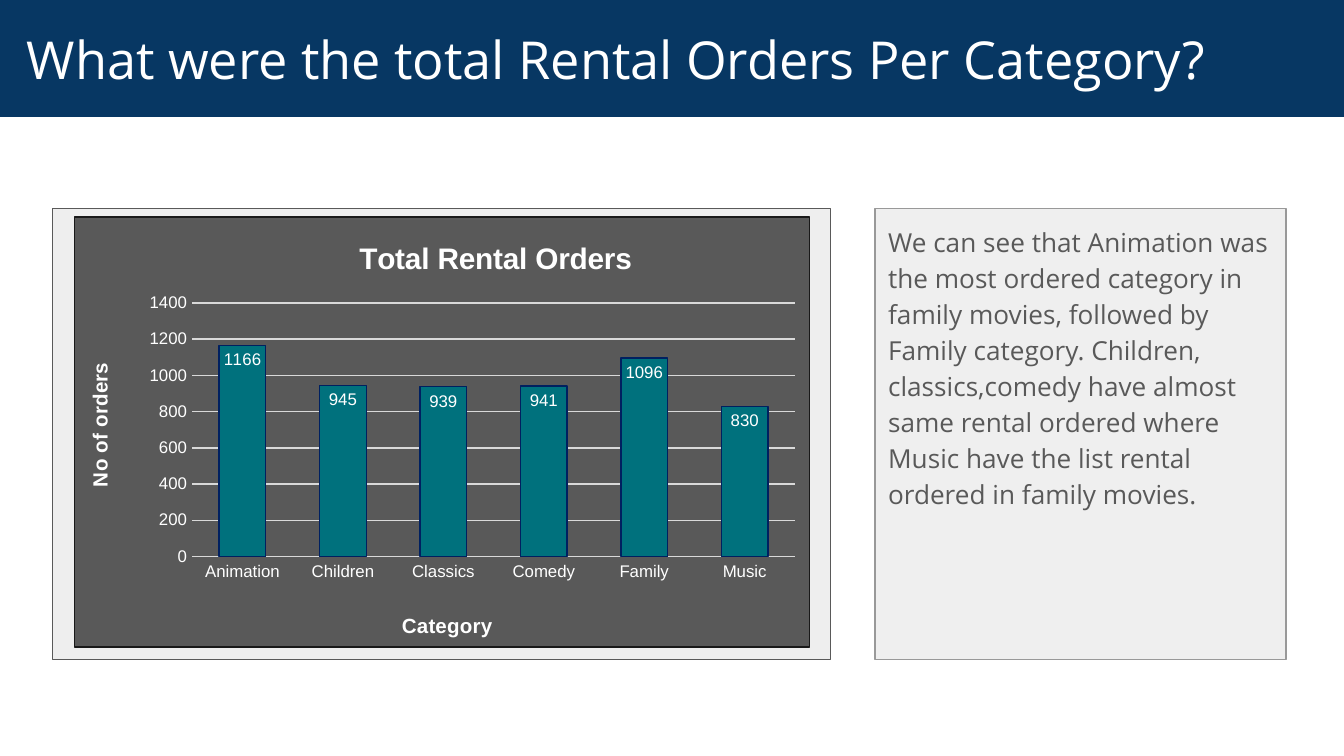
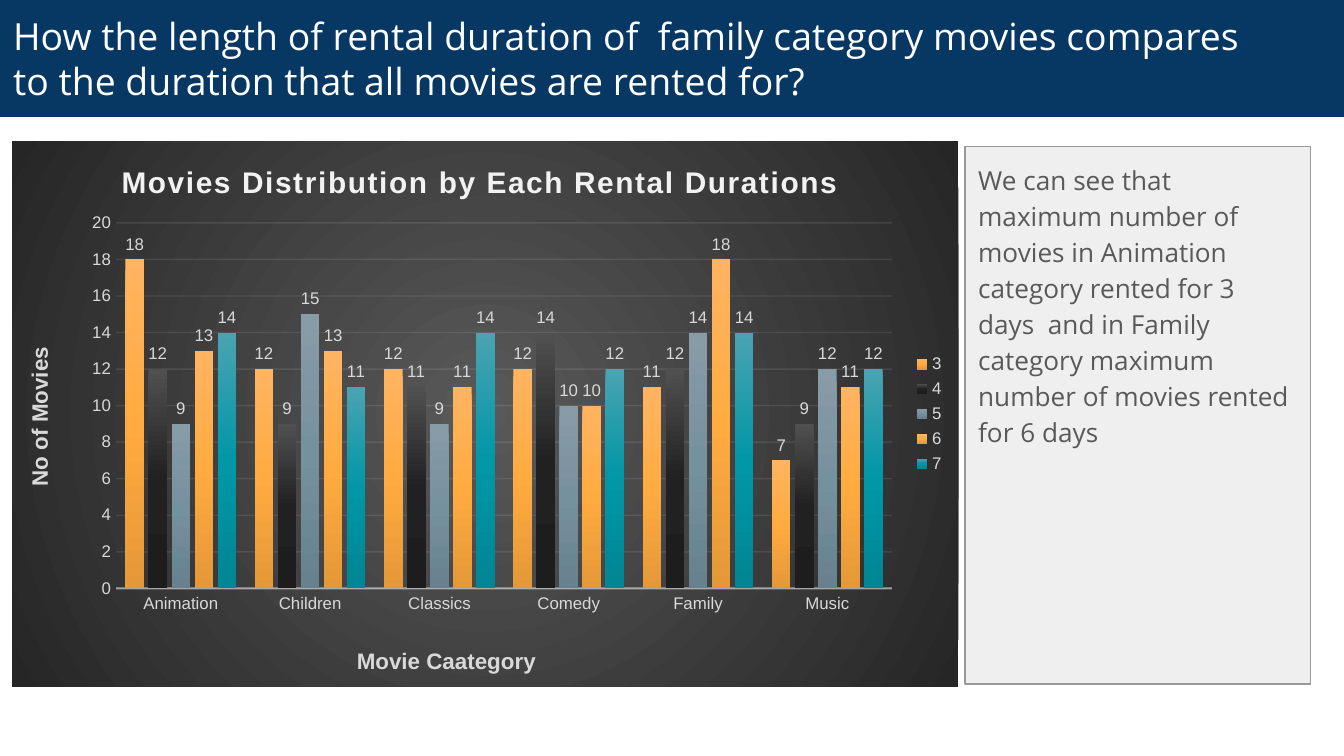
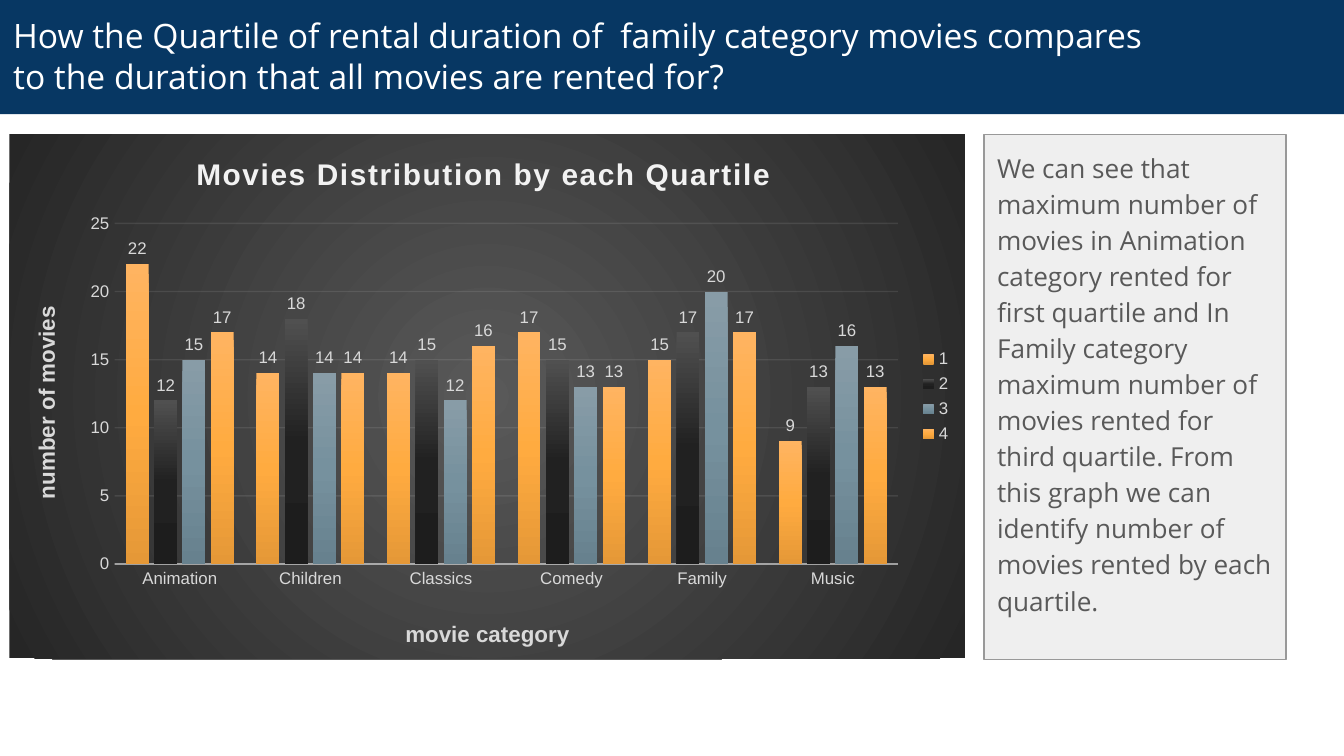
from lxml import etree
from pptx import Presentation
from pptx.chart.data import CategoryChartData
from pptx.dml.color import RGBColor
from pptx.enum.chart import (XL_CHART_TYPE, XL_LABEL_POSITION,
                             XL_LEGEND_POSITION, XL_TICK_MARK)
from pptx.enum.shapes import MSO_SHAPE
from pptx.enum.text import MSO_ANCHOR, PP_ALIGN
from pptx.oxml import parse_xml
from pptx.oxml.ns import nsdecls, qn
from pptx.util import Inches, Pt

RECT = MSO_SHAPE.RECTANGLE
COLUMN = XL_CHART_TYPE.COLUMN_CLUSTERED
INSIDE = XL_LABEL_POSITION.INSIDE_END
OUTSIDE = XL_LABEL_POSITION.OUTSIDE_END
RIGHT = XL_LEGEND_POSITION.RIGHT
NONE = XL_TICK_MARK.NONE
TOP, MIDDLE = MSO_ANCHOR.TOP, MSO_ANCHOR.MIDDLE
LEFT = PP_ALIGN.LEFT

WIDTH = Inches(10)
HEIGHT = WIDTH * 9 // 16

COLORS = {
    "navy": "073763", "white": "FFFFFF", "panel": "EFEFEF", "frame": "EEEEEE",
    "edge": "999999", "gray": "595959", "coal": "262626", "black": "191919",
    "teal": "00717D", "ink": "002060", "pale": "D9D9D9", "mist": "F2F2F2",
}
ORANGE = ("FFB461", "FFAB40", "E59837")
DARK = ("505050", "212121", "1D1D1D")
STEEL = ("889CA7", "76919E", "67818E")
AQUA = ("4BA3B1", "0097A7", "008694")
GENRES = ["Animation", "Children", "Classics", "Comedy", "Family", "Music"]

# Chart looks shared by the slides
PLAIN = {"text": "white", "head": "white", "axis": ("pale", 0.75, 100),
         "grid": ("pale", 0.75, 100), "gap": 115, "spot": INSIDE,
         "title_size": 11, "spacing": 0, "legend": False}
GLOW = {"text": "pale", "head": "mist", "axis": ("mist", 1, 54),
        "grid": ("mist", 0.75, 10), "gap": 100, "spot": OUTSIDE,
        "title_size": 12, "spacing": 100, "legend": True}

SLIDES = [
    {"title": "What were the total Rental Orders Per Category?",
     "size": 28, "indent": 0.2, "top": 0,
     "note": "We can see that Animation was the most ordered category in "
             "family movies, followed by Family category. Children, "
             "classics,comedy have almost same rental ordered where Music "
             "have the list rental ordered in family movies.",
     "note_box": (6.51, 1.55, 3.06, 3.36), "frame": (0.39, 1.55, 5.79, 3.36),
     "chart": {
         "box": (0.55, 1.61, 5.48, 3.21), "look": PLAIN, "scale": (1400, 200),
         "head": ("Total Rental Orders", 0.38, 0.04),
         "cat": ("Category", 0.44, 0.91), "val": ("No of orders", 0.01, 0.33),
         "plot": (0.16, 0.2, 0.82, 0.59),
         "series": {"Series 1": (None, [1166, 945, 939, 941, 1096, 830])}}},
    {"title": "How the length of rental duration of  family category movies "
              "compares\vto the duration that all movies are rented for?",
     "size": 20, "indent": 0.1, "top": 0,
     "note": "We can see that maximum number of movies in Animation category "
             "rented for 3 days  and in Family category maximum number of "
             "movies rented for 6 days",
     "note_box": (7.18, 1.09, 2.57, 4), "frame": None,
     "chart": {
         "box": (0.09, 1.05, 7.04, 4.06), "look": GLOW, "scale": (20, 2),
         "head": ("Movies Distribution by Each Rental Durations", 0.11, 0.03),
         "cat": ("Movie Caategory", 0.36, 0.92),
         "val": ("No of Movies", 0.01, 0.37),
         "plot": (0.11, 0.15, 0.82, 0.67),
         "series": {"3": (ORANGE, [18, 12, 12, 12, 11, 7]),
                    "4": (DARK, [12, 9, 11, 14, 12, 9]),
                    "5": (STEEL, [9, 15, 9, 10, 14, 12]),
                    "6": (ORANGE, [13, 13, 11, 10, 18, 11]),
                    "7": (AQUA, [14, 11, 14, 12, 14, 12])}}},
    {"title": "How the Quartile of rental duration of  family category movies "
              "compares\vto the duration that all movies are rented for?",
     "size": 18, "indent": 0.1, "top": -0.02,
     "note": "We can see that maximum number of movies in Animation category "
             "rented for first quartile and In Family category  maximum "
             "number of movies rented for third quartile. From this graph we "
             "can identify number of movies rented by each quartile.",
     "note_box": (7.32, 1, 2.25, 3.91), "frame": (0.39, 1.55, 4.98, 3.36),
     "chart": {
         "box": (0.07, 1, 7.11, 3.9), "look": GLOW, "scale": (25, 5),
         "head": ("Movies Distribution by each Quartile", 0.19, 0.03),
         "cat": ("movie category", 0.41, 0.92),
         "val": ("number of movies", 0.02, 0.32),
         "plot": (0.11, 0.17, 0.82, 0.65),
         "series": {"1": (ORANGE, [22, 14, 14, 17, 15, 9]),
                    "2": (DARK, [12, 18, 15, 15, 17, 13]),
                    "3": (STEEL, [15, 14, 12, 13, 20, 16]),
                    "4": (ORANGE, [17, 14, 16, 13, 17, 13])}}},
]


def put(target, **values):
    for name, value in values.items():
        setattr(target, name, value)


def rgb(name):
    return RGBColor.from_string(COLORS[name])


def style(font, size, color, bold=False, name="Arial"):
    put(font, size=Pt(size), bold=bold, name=name)
    font.color.rgb = rgb(color)


def stroke(line, color, width):
    line.color.rgb = rgb(color)
    line.width = Pt(width)


def rule(holder, color, width, alpha):
    """Draw an axis or grid line at the given opacity in percent."""
    stroke(holder.format.line, color, width)
    if alpha < 100:
        for tint in holder.format.line._ln.iter(qn("a:srgbClr")):
            etree.SubElement(tint, qn("a:alpha"), val=str(alpha * 1000))


def blend(tints, path=False):
    """Make a gradient fill, top to bottom or from the centre outward."""
    step = 100000 // (len(tints) - 1)
    stops = "".join(
        f'<a:gs pos="{i * step}"><a:srgbClr val="{tint}"/></a:gs>'
        for i, tint in enumerate(tints))
    way = ('<a:path path="circle"><a:fillToRect l="50000" t="50000" '
           'r="50000" b="50000"/></a:path>' if path
           else '<a:lin ang="5400000" scaled="0"/>')
    return parse_xml(f'<a:gradFill {nsdecls("a")} rotWithShape="1"><a:gsLst>'
                     f'{stops}</a:gsLst>{way}</a:gradFill>')


def place(part, index, x, y, w=None, h=None):
    """Fix a chart part at fractions of the chart area."""
    old = part.find(qn("c:layout"))
    if old is not None:
        part.remove(old)
    layout = etree.Element(qn("c:layout"))
    manual = etree.SubElement(layout, qn("c:manualLayout"))
    rows = [("xMode", "edge"), ("yMode", "edge"),
            ("x", x), ("y", y), ("w", w), ("h", h)]
    if w is not None:
        rows.insert(0, ("layoutTarget", "inner"))
    for tag, value in rows:
        if value is not None:
            etree.SubElement(manual, qn("c:" + tag), val=str(value))
    part.insert(index, layout)


def label(title, spec, size, color, spacing=0):
    words, x, y = spec
    run = title.text_frame.paragraphs[0].add_run()
    run.text = words
    style(run.font, size, color, True)
    if spacing:
        run._r.get_or_add_rPr().set("spc", str(spacing))
    place(title._element, 1, x, y)


def panel(slide, box, fill, edge=None):
    shape = slide.shapes.add_shape(RECT, *map(Inches, box))
    shape.shadow.inherit = False
    shape.fill.solid()
    shape.fill.fore_color.rgb = rgb(fill)
    if edge:
        stroke(shape.line, edge, 0.75)
    else:
        shape.line.fill.background()
    return shape


def write(shape, words, size, color, anchor, indent=0.1):
    frame = shape.text_frame
    put(frame, word_wrap=True, vertical_anchor=anchor,
        margin_left=Inches(indent), margin_right=Inches(0.1),
        margin_top=Inches(0.1), margin_bottom=Inches(0.1))
    para = frame.paragraphs[0]
    para.text = words
    para.alignment = LEFT
    for run in para.runs:
        style(run.font, size, color, name="Open Sans")
    return para


def band(slide, page):
    shape = panel(slide, (0, page["top"], 10, 0.87), "navy")
    write(shape, page["title"], page["size"], "white", MIDDLE, page["indent"])


def note(slide, words, box):
    para = write(panel(slide, box, "panel", "edge"), words, 14, "gray", TOP)
    put(para, line_spacing=1.15, space_after=Pt(16))


def backdrop(chart, glow):
    """Fill the chart area, glowing or plain with a border."""
    area = parse_xml(f'<c:spPr {nsdecls("c", "a")}/>')
    if glow:
        area.append(blend((COLORS["gray"], COLORS["coal"]), True))
        area.append(parse_xml(f'<a:ln {nsdecls("a")}><a:noFill/></a:ln>'))
    else:
        for xml in (f'<a:solidFill {nsdecls("a")}><a:srgbClr '
                    f'val="{COLORS["gray"]}"/></a:solidFill>',
                    f'<a:ln {nsdecls("a")} w="9525"><a:solidFill><a:srgbClr '
                    f'val="{COLORS["black"]}"/></a:solidFill></a:ln>'):
            area.append(parse_xml(xml))
    chart._chartSpace.find(qn("c:chart")).addnext(area)


def axes(chart, spec, look):
    cat, val = chart.category_axis, chart.value_axis
    for axis, key in ((cat, "cat"), (val, "val")):
        put(axis, major_tick_mark=NONE, minor_tick_mark=NONE)
        style(axis.tick_labels.font, 9, look["text"])
        label(axis.axis_title, spec[key], look["title_size"], look["text"])
    rule(cat, *look["axis"])
    val.format.line.fill.background()
    top, step = spec["scale"]
    put(val, minimum_scale=0, maximum_scale=top, major_unit=step,
        has_major_gridlines=True)
    rule(val.major_gridlines, *look["grid"])


def bars(plot, spec, look):
    put(plot, gap_width=look["gap"], overlap=-24, vary_by_categories=False,
        has_data_labels=True)
    put(plot.data_labels, show_value=True, position=look["spot"])
    style(plot.data_labels.font, 9, look["text"])
    for item, (tints, _) in zip(plot.series, spec["series"].values()):
        item.invert_if_negative = False
        if tints:
            item._element.get_or_add_spPr().insert(0, blend(tints))
        else:
            item.format.fill.solid()
            item.format.fill.fore_color.rgb = rgb("teal")
            stroke(item.format.line, "ink", 0.75)


def graph(slide, spec):
    look = spec["look"]
    data = CategoryChartData()
    data.categories = GENRES
    for name, (_, values) in spec["series"].items():
        data.add_series(name, values)
    chart = slide.shapes.add_chart(
        COLUMN, *map(Inches, spec["box"]), data).chart
    style(chart.font, 10, look["text"])
    backdrop(chart, look is GLOW)
    put(chart, has_title=True, has_legend=look["legend"])
    label(chart.chart_title, spec["head"], 16, look["head"], look["spacing"])
    if look["legend"]:
        put(chart.legend, position=RIGHT, include_in_layout=False)
        style(chart.legend.font, 9, look["text"])
    axes(chart, spec, look)
    bars(chart.plots[0], spec, look)
    place(chart._chartSpace.chart.plotArea, 0, *spec["plot"])


def main():
    deck = Presentation()
    put(deck, slide_width=WIDTH, slide_height=HEIGHT)
    for page in SLIDES:
        slide = deck.slides.add_slide(deck.slide_layouts[6])
        note(slide, page["note"], page["note_box"])
        if page["frame"]:
            panel(slide, page["frame"], "frame", "gray")
        band(slide, page)
        graph(slide, page["chart"])
    deck.save("out.pptx")


if __name__ == "__main__":
    main()
